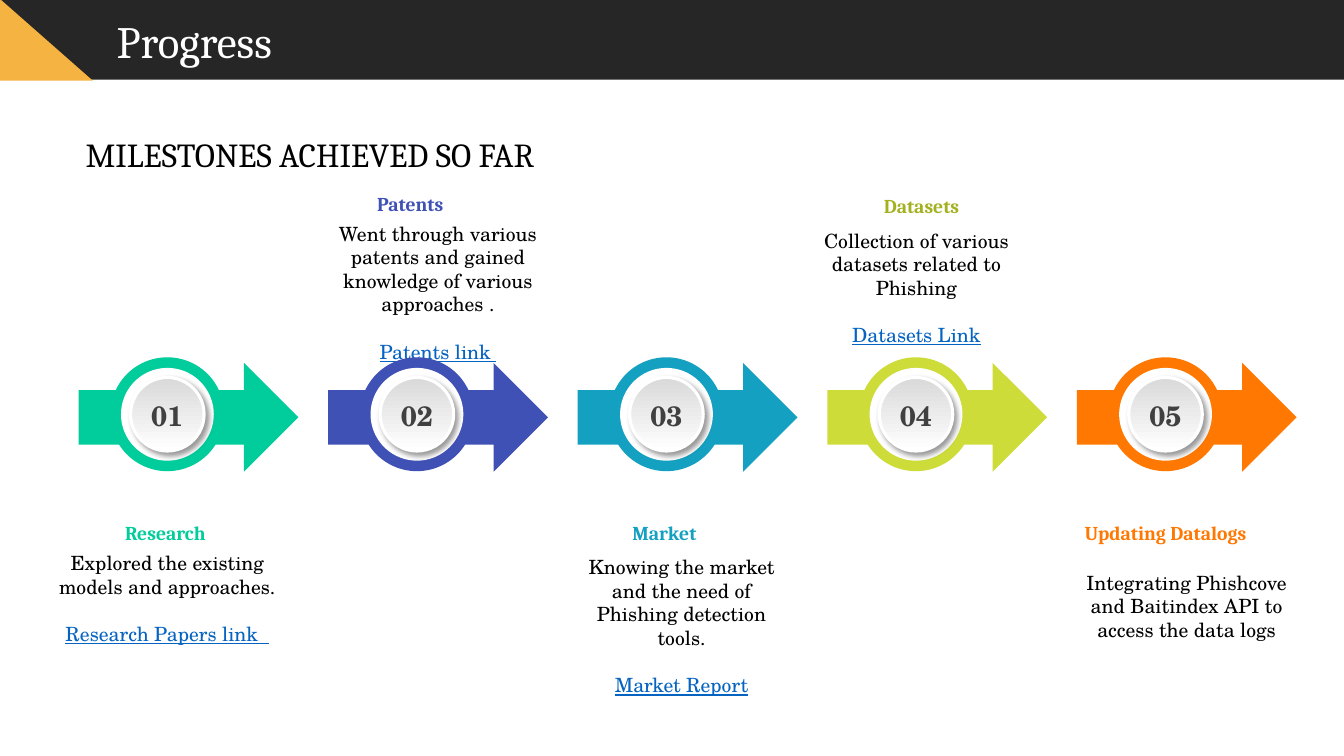
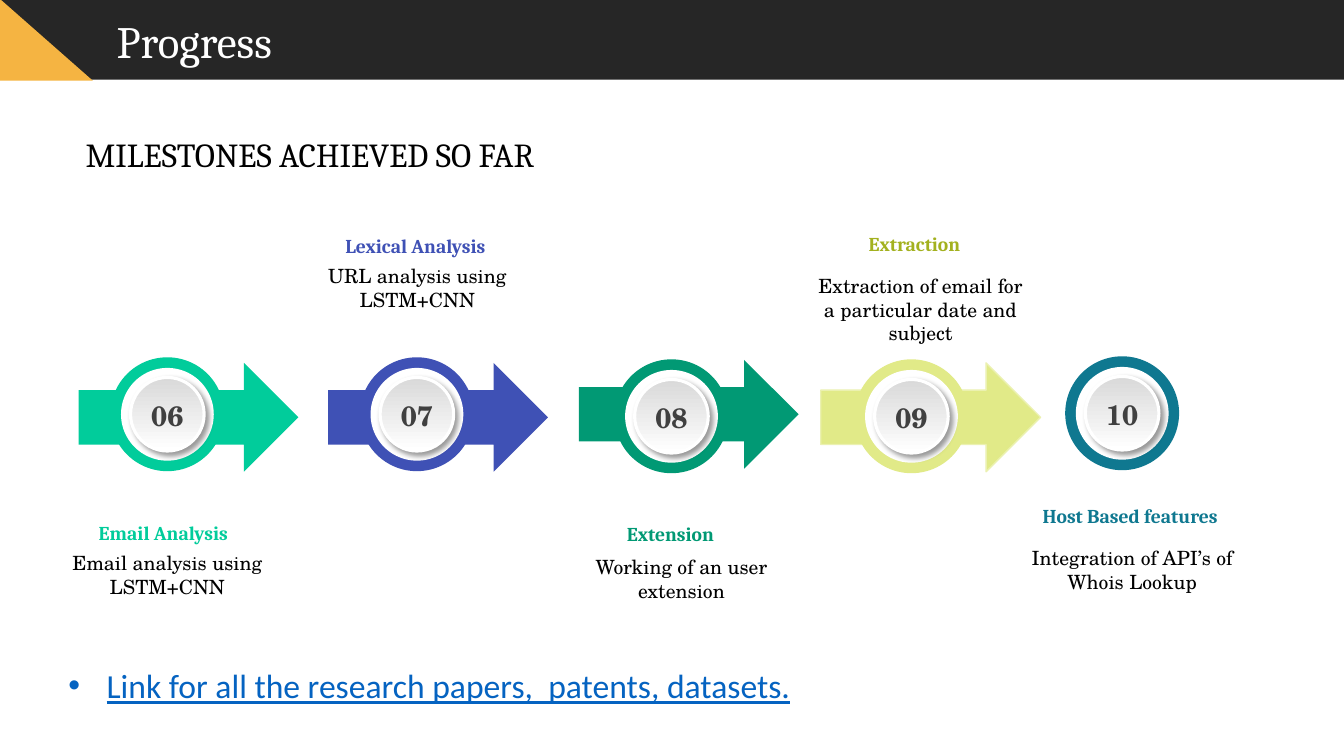
from dataclasses import dataclass

from lxml import etree
from pptx import Presentation
from pptx.dml.color import RGBColor
from pptx.enum.shapes import MSO_SHAPE
from pptx.enum.text import MSO_AUTO_SIZE, PP_ALIGN
from pptx.oxml.ns import qn
from pptx.util import Inches, Pt

RECT, TRIANGLE = MSO_SHAPE.RECTANGLE, MSO_SHAPE.RIGHT_TRIANGLE
ARROW, OVAL = MSO_SHAPE.RIGHT_ARROW, MSO_SHAPE.OVAL
LEFT, CENTER = PP_ALIGN.LEFT, PP_ALIGN.CENTER
FIT = MSO_AUTO_SIZE.SHAPE_TO_FIT_TEXT

# Shared style
SERIF, BODY, SANS = "Cambria", "TeX Gyre Schola", "Calibri"
DARK, GOLD, WHITE, BLACK = "262626", "F5B442", "FFFFFF", "000000"
GREY, SILVER, LINK = "404040", "D9D9D9", "0563C1"
GREEN, INDIGO, CYAN, LIME, ORANGE = "01CC9B", "3F51B5", "14A0C0", "CDDC39", "FF7801"
FOREST, PALE_LIME, PALE_EDGE, TEAL, OLIVE = "019974", "E1EA88", "EBF1B0", "0F7890", "A3B11F"

# Row of milestones
FIRST_ARROW, LAST_ARROW, COUNT = 0.78, 10.68, 5
PITCH = (LAST_ARROW - FIRST_ARROW) / (COUNT - 1)
ARROW_TOP, BADGE_Y, BADGE_OFFSET = 3.6, 4.11, 0.88
LABEL_WIDTH = 2.38


def color(hex_string):
    return RGBColor.from_string(hex_string)


@dataclass
class Milestone:
    number: str
    label: str
    label_at: tuple
    text: str
    text_at: tuple
    fill: str
    link: str = ""
    label_color: str = ""
    text_width: float = LABEL_WIDTH
    text_height: float = 0.57
    arrow_at: tuple = ()
    badge_at: tuple = ()
    edge: str = ""
    has_arrow: bool = True


class Deck:
    def __init__(self):
        self.prs = Presentation()
        self.prs.slide_width, self.prs.slide_height = Inches(13.33), Inches(7.5)
        self.slide = None

    def shape(self, kind, x, y, w, h, fill, edge="", edge_width=1):
        shape = self.slide.shapes.add_shape(kind, Inches(x), Inches(y), Inches(w), Inches(h))
        shape.shadow.inherit = False
        shape.fill.solid()
        shape.fill.fore_color.rgb = color(fill)
        if edge:
            shape.line.color.rgb = color(edge)
            shape.line.width = Pt(edge_width)
        else:
            shape.line.fill.background()
        return shape

    def style(self, paragraph, size, font, ink, bold=False, underline=False, align=LEFT):
        paragraph.alignment = align
        for run in paragraph.runs:
            run.font.size, run.font.name = Pt(size), font
            run.font.bold, run.font.underline = bold, underline
            run.font.color.rgb = color(ink)

    def text(self, words, x, y, w, h, size, font, ink, wrap=True, **look):
        box = self.slide.shapes.add_textbox(Inches(x), Inches(y), Inches(w), Inches(h))
        frame = box.text_frame
        frame.word_wrap, frame.auto_size = wrap, FIT
        frame.text = words
        self.style(frame.paragraphs[0], size, font, ink, **look)
        return frame

    def disc(self, cx, cy, size, fill, **edge):
        return self.shape(OVAL, cx - size / 2, cy - size / 2, size, size, fill, **edge)

    def badge(self, cx, cy, number, fill):
        self.disc(cx, cy, 1.13, fill)
        self.disc(cx, cy, 0.92, WHITE)
        button = self.disc(cx, cy, 0.73, WHITE, edge=WHITE, edge_width=2.25)
        button.fill.gradient()
        button.fill.gradient_angle = 270
        for stop, tone in zip(button.fill.gradient_stops, (SILVER, WHITE)):
            stop.color.rgb = color(tone)
        # Soft drop shadow to the lower right
        effects = button._element.spPr.find(qn("a:effectLst"))
        shadow = etree.SubElement(effects, qn("a:outerShdw"), blurRad=str(Pt(4)),
                                  dist=str(Pt(3)), dir=str(45 * 60000))
        tint = etree.SubElement(shadow, qn("a:srgbClr"), val=BLACK)
        etree.SubElement(tint, qn("a:alpha"), val="40000")
        self.text(number, cx - 0.45, cy - 0.21, 0.9, 0.44, 20, BODY, GREY,
                  bold=True, align=CENTER)

    def caption(self, step):
        frame = self.text(step.text, *step.text_at, step.text_width, step.text_height,
                          14, BODY, BLACK, align=CENTER)
        if step.link:
            paragraph = frame.add_paragraph()
            paragraph.text = step.link
            paragraph.space_before = Pt(17)
            self.style(paragraph, 14, BODY, LINK, underline=True, align=CENTER)
        self.text(step.label, *step.label_at, LABEL_WIDTH, 0.34, 14, SERIF,
                  step.label_color or step.fill, bold=True, align=CENTER)

    def milestones(self, steps):
        for step in steps:
            self.caption(step)
        for i, step in enumerate(steps):
            x, y = step.arrow_at or (FIRST_ARROW + i * PITCH, ARROW_TOP)
            if step.has_arrow:
                self.shape(ARROW, x, y, 2.18, 1.08, step.fill, step.edge)
            cx, cy = step.badge_at or (x + BADGE_OFFSET, BADGE_Y)
            self.badge(cx, cy, step.number, step.fill)

    def bullet(self, words, x, y, w, h):
        frame = self.text(words, x, y, w, h, 24, SANS, LINK, wrap=False, underline=True)
        props = frame.paragraphs[0]._p.get_or_add_pPr()
        props.set("marL", str(Inches(0.38)))
        props.set("indent", str(Inches(-0.38)))
        etree.SubElement(props, qn("a:buFont"), typeface="Arial")
        etree.SubElement(props, qn("a:buChar"), char="•")

    def progress_slide(self, steps):
        self.slide = self.prs.slides.add_slide(self.prs.slide_layouts[6])
        self.shape(RECT, 0, 0, 13.33, 0.79, DARK)
        self.shape(TRIANGLE, 0, -0.01, 0.92, 0.81, GOLD)
        self.text("Progress", 1.06, 0.09, 11.14, 0.64, 32, SERIF, WHITE)
        self.text("MILESTONES ACHIEVED SO FAR", 0.75, 1.28, 5.49, 0.5, 24, SERIF, BLACK,
                  wrap=False)
        self.milestones(steps)


FIRST_STEPS = [
    Milestone("01", "Research", (0.45, 5.12),
              "Explored the existing models and approaches.", (0.47, 5.42), GREEN,
              link="Research Papers link  ", text_height=1.04),
    Milestone("02", "Patents", (2.88, 1.85),
              "Went through various patents and gained knowledge of various approaches .",
              (2.96, 2.15), INDIGO, link="Patents link ", text_width=2.77, text_height=1.28),
    Milestone("03", "Market", (5.4, 5.12),
              "Knowing the market and the need of Phishing detection tools.",
              (5.57, 5.46), CYAN, link="Market Report", text_height=1.28),
    Milestone("04", "Datasets", (7.95, 1.87),
              "Collection of various datasets related to Phishing", (7.9, 2.22), LIME,
              link="Datasets Link", label_color=OLIVE, text_height=1.28),
    Milestone("05", "Updating Datalogs", (10.37, 5.12),
              "Integrating Phishcove and Baitindex API to access the data logs",
              (10.58, 5.61), ORANGE, text_height=0.81),
]

LATER_STEPS = [
    Milestone("06", "Email Analysis", (0.43, 5.12),
              "Email analysis using LSTM+CNN", (0.47, 5.42), GREEN),
    Milestone("07", "Lexical Analysis", (2.93, 2.27),
              "URL analysis using LSTM+CNN", (2.95, 2.57), INDIGO),
    Milestone("08", "Extension", (5.46, 5.13),
              "Working of an user extension", (5.57, 5.46), FOREST,
              arrow_at=(5.74, 3.57), badge_at=(6.66, 4.13)),
    Milestone("09", "Extraction", (7.88, 2.25),
              "Extraction of email for a particular date and subject", (7.94, 2.67), PALE_LIME,
              label_color=OLIVE, text_height=0.81, arrow_at=(8.14, 3.6),
              badge_at=(9.04, 4.13), edge=PALE_EDGE),
    Milestone("10", "Host Based features", (10.02, 4.95),
              "Integration of API’s of Whois Lookup", (10.04, 5.37), TEAL,
              badge_at=(11.13, 4.1), has_arrow=False),
]


def main():
    deck = Deck()
    deck.progress_slide(FIRST_STEPS)
    deck.progress_slide(LATER_STEPS)
    deck.bullet("Link for all the research papers,  patents, datasets.", 0.58, 6.55, 7.43, 0.5)
    deck.prs.save("out.pptx")


if __name__ == "__main__":
    main()
